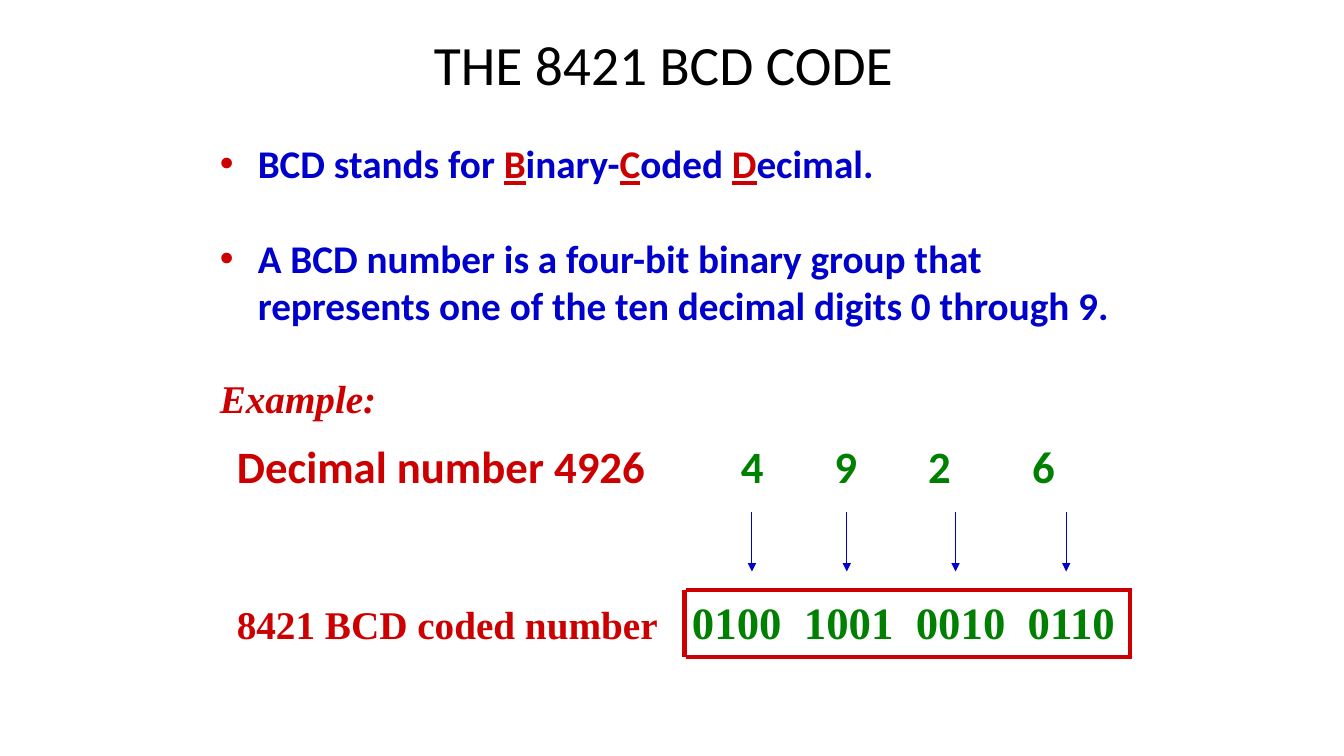
from lxml import etree
from pptx import Presentation
from pptx.dml.color import RGBColor
from pptx.enum.shapes import MSO_CONNECTOR
from pptx.enum.text import MSO_ANCHOR, MSO_AUTO_SIZE, PP_ALIGN
from pptx.oxml.ns import qn
from pptx.util import Cm, Pt

STRAIGHT = MSO_CONNECTOR.STRAIGHT
MIDDLE = MSO_ANCHOR.MIDDLE
NO_AUTOFIT = MSO_AUTO_SIZE.NONE
CENTER = PP_ALIGN.CENTER
COLORS = {"black": "000000", "blue": "0000CC", "red": "CC0000", "green": "008000"}


def add_span(para, text, color, size=None):
    span = para.add_run()
    span.text = text
    span.font.color.rgb = RGBColor.from_string(COLORS[color])
    if size:
        span.font.size = Pt(size)
    return span


def add_line(slide, start, end, color, width):
    """Add a shadowless line between two (x, y) points in centimetres."""
    line = slide.shapes.add_connector(STRAIGHT, *map(Cm, start + end))
    line.line.color.rgb = RGBColor.from_string(COLORS[color])
    line.line.width = Pt(width)
    etree.SubElement(line._element.spPr, qn("a:effectLst"))
    return line


deck = Presentation()
deck.slide_width, deck.slide_height = Cm(33.87), Cm(19.05)
page = deck.slides.add_slide(deck.slide_layouts[1])

# Title
title = page.shapes.title
title.left, title.top, title.width, title.height = Cm(7.62), Cm(0.64), Cm(18.2), Cm(1.9)
title.text_frame.auto_size = NO_AUTOFIT
title.text_frame.vertical_anchor = MIDDLE
para = title.text_frame.paragraphs[0]
para.alignment = CENTER
para.font.name, para.font.size = "Calibri", Pt(39.6)
add_span(para, "THE 8421 BCD CODE", "black")

# Definition bullets: each is a list of (text, is an initial)
bullets = [
    [("BCD stands for ", False), ("B", True), ("inary-", False), ("C", True),
     ("oded ", False), ("D", True), ("ecimal.", False)],
    [("A BCD number is a four-bit binary group that represents "
      "one of the ten decimal digits 0 through 9.", False)],
]
body = page.placeholders[1]
body.left, body.top, body.width, body.height = Cm(5.29), Cm(3.39), Cm(23.28), Cm(6.56)
frame = body.text_frame
frame.auto_size = NO_AUTOFIT
for number, parts in enumerate(bullets):
    para = frame.add_paragraph() if number else frame.paragraphs[0]
    para.space_before = Pt(34 * number)
    para.font.name, para.font.size, para.font.bold = "Calibri", Pt(28), True
    bullet_color = etree.SubElement(para._p.get_or_add_pPr(), qn("a:buClr"))
    etree.SubElement(bullet_color, qn("a:srgbClr"), val=COLORS["red"])
    # The bullet colour must stand before the default run properties
    para._p.pPr.insert(1, bullet_color)
    for text, is_initial in parts:
        span = add_span(para, text, "red" if is_initial else "blue")
        if is_initial:
            span.font.underline = True

# Example rows: label, values, left, top, font, label size, tab stops in cm
digit_tabs = [12.7, 15.06, 17.42, 20.04]
code_tabs = [11.47 + 2.82 * column for column in range(4)]
rows = [
    ("Example:", [], 5.29, 9.31, "Times New Roman", 28, []),
    ("Decimal number 4926", ["4", "9", "2", "6"],
     5.72, 10.92, "Calibri", 32, digit_tabs),
    ("8421 BCD coded number", ["0100", "1001", "0010", "0110"],
     5.72, 14.86, "Times New Roman", 28, code_tabs),
]
for label, values, left, top, font, size, tabs in rows:
    box = page.shapes.add_textbox(Cm(left), Cm(top), Cm(23.28 if values else 5.29), Cm(1.6))
    box.text_frame.word_wrap = True
    para = box.text_frame.paragraphs[0]
    para.font.name, para.font.bold = font, True
    para.font.italic = not values
    add_span(para, label, "red", size)
    if values:
        add_span(para, "\t" + "\t".join(values), "green", 32)
        tab_list = etree.Element(qn("a:tabLst"))
        for tab in tabs:
            etree.SubElement(tab_list, qn("a:tab"), pos=str(int(Cm(tab))), algn="l")
        para._p.pPr.insert(0, tab_list)

# Arrows from each digit to its code
for x in (18.95, 21.34, 24.08, 26.87):
    arrow = add_line(page, (x, 12.9), (x, 14.4), "blue", 0.75)
    etree.SubElement(arrow.line._get_or_add_ln(), qn("a:tailEnd"), type="triangle")

# Frame around the coded number
frame_top, frame_bottom = 14.86, 16.56
for y in (frame_top, frame_bottom):
    add_line(page, (17.3, y), (28.52, y), "red", 3)
for x in (17.25, 28.47):
    add_line(page, (x, frame_top), (x, frame_bottom), "red", 3)

deck.save("out.pptx")
